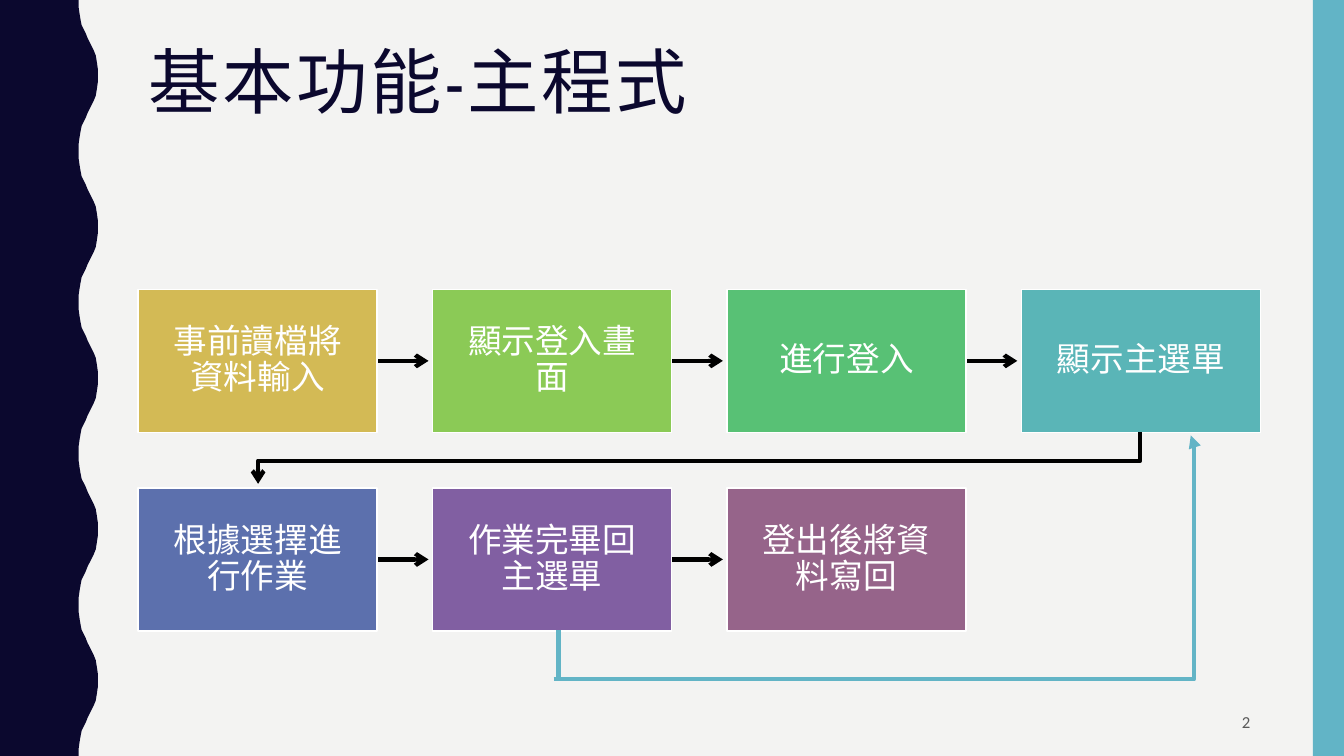
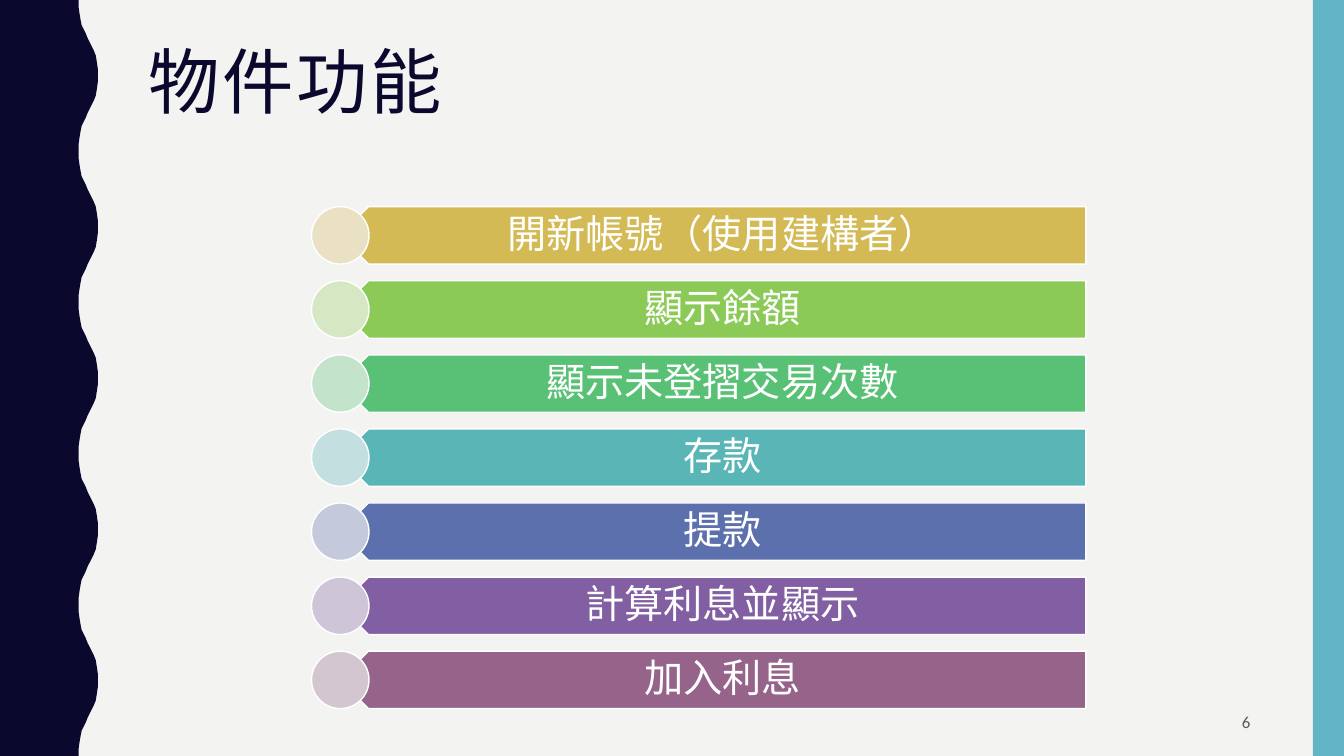
import pptx
import pptx.util
import pptx.dml.color
import pptx.enum.shapes
import pptx.enum.text
import pptx.oxml
import pptx.oxml.ns

Inches = pptx.util.Inches
Pt = pptx.util.Pt
RGBColor = pptx.dml.color.RGBColor
Shape = pptx.enum.shapes.MSO_SHAPE
Connector = pptx.enum.shapes.MSO_CONNECTOR
Align = pptx.enum.text.PP_ALIGN
Anchor = pptx.enum.text.MSO_ANCHOR
qn = pptx.oxml.ns.qn

PAPER = RGBColor(0xF3, 0xF3, 0xF2)
NAVY = RGBColor(0x0B, 0x08, 0x2E)
SKY = RGBColor(0x62, 0xB4, 0xC6)
WHITE = RGBColor(0xFF, 0xFF, 0xFF)
BLACK = RGBColor(0x00, 0x00, 0x00)
GRAY = RGBColor(0x59, 0x59, 0x59)
HUES = [RGBColor.from_string(code) for code in (
    "D3BA55", "8BCA56", "58C175", "5AB5B7", "5C70AD", "815FA2", "96648A")]
TINTS = [RGBColor.from_string(code) for code in (
    "EAE0C3", "D5E7C3", "C3E3CB", "C4DFE0", "C4CADC", "CFC5D8", "D3C6CF")]

HEADING_FONT = "Arial Narrow"
BODY_FONT = "Calibri"
WIDTH, HEIGHT = 13.33, 7.5
LEFT, CONTENT_WIDTH = 1.37, 11.13
WAVE_PERIOD = 1.5
WAVE_RISE = [(0.78, 0), (0.78, 0.07), (0.79, 0.14), (0.8, 0.2), (0.81, 0.25),
             (0.83, 0.29), (0.85, 0.33), (0.87, 0.38), (0.89, 0.42), (0.91, 0.46),
             (0.93, 0.5), (0.95, 0.55), (0.96, 0.61), (0.97, 0.68), (0.97, 0.75)]


class Painter:
    def __init__(self):
        self.deck = pptx.Presentation()
        self.deck.slide_width = Inches(WIDTH)
        self.deck.slide_height = Inches(HEIGHT)
        fill = self.deck.slide_master.background.fill
        fill.solid()
        fill.fore_color.rgb = PAPER
        self.page = None

    def start(self, title, number):
        self.page = self.deck.slides.add_slide(self.deck.slide_layouts[6])
        self.wave()
        self.shape(Shape.RECTANGLE, 13.02, 0, 0.31, HEIGHT, SKY)
        self.text(title, LEFT, 0.42, CONTENT_WIDTH, 1.63, 51, NAVY, font=HEADING_FONT,
                  align=Align.LEFT, anchor=Anchor.TOP, tracking=2)
        self.text(number, 9.42, 6.97, 3.08, 0.38, 12, GRAY, align=Align.RIGHT, spacing=1)

    def wave(self):
        crest = WAVE_RISE + [(x, WAVE_PERIOD - y) for x, y in WAVE_RISE[-2:0:-1]]
        points = [(x, y + turn * WAVE_PERIOD) for turn in range(5) for x, y in crest]
        band = self.outline([(0, 0)] + points + [(0.78, HEIGHT), (0, HEIGHT)], True)
        band.fill.solid()
        band.fill.fore_color.rgb = NAVY
        band.line.fill.background()

    def outline(self, points, close):
        corners = [(Inches(x), Inches(y)) for x, y in points]
        builder = self.page.shapes.build_freeform(*corners[0])
        builder.add_line_segments(corners[1:], close=close)
        shape = builder.convert_to_shape()
        shape.shadow.inherit = False
        return shape

    def shape(self, kind, left, top, width, height, color, border=None):
        shape = self.page.shapes.add_shape(
            kind, Inches(left), Inches(top), Inches(width), Inches(height))
        shape.shadow.inherit = False
        shape.fill.solid()
        shape.fill.fore_color.rgb = color
        if border is None:
            shape.line.fill.background()
        else:
            shape.line.color.rgb = border
            shape.line.width = Pt(1)
        return shape

    def text(self, words, left, top, width, height, size, color, **style):
        box = self.page.shapes.add_textbox(
            Inches(left), Inches(top), Inches(width), Inches(height))
        self.label(box, words, size, color, **style)

    def label(self, box, words, size, color, font=BODY_FONT, align=Align.CENTER,
              anchor=Anchor.MIDDLE, insets=(0.1, 0.05, 0.1, 0.05), spacing=0.9, tracking=0):
        frame = box.text_frame
        frame.word_wrap = True
        frame.vertical_anchor = anchor
        (frame.margin_left, frame.margin_top,
         frame.margin_right, frame.margin_bottom) = map(Inches, insets)
        para = frame.paragraphs[0]
        para.alignment = align
        para.line_spacing = spacing
        span = para.add_run()
        span.text = words
        span.font.name = font
        span.font.size = Pt(size)
        span.font.color.rgb = color
        if tracking:
            span.font._element.set("spc", str(tracking * 100))

    def stroke(self, shape, color, head):
        shape.line.color.rgb = color
        shape.line.width = Pt(3)
        if head:
            tip = pptx.oxml.parse_xml(
                f'<a:tailEnd {pptx.oxml.ns.nsdecls("a")} type="{head}"/>')
            shape.element.spPr.find(qn("a:ln")).append(tip)

    def connector(self, start, end, color, head=None, bend=None):
        kind = Connector.STRAIGHT if bend is None else Connector.ELBOW
        link = self.page.shapes.add_connector(kind, *map(Inches, start + end))
        self.stroke(link, color, head)
        properties = link.element.spPr
        properties.append(pptx.oxml.parse_xml(
            f'<a:effectLst {pptx.oxml.ns.nsdecls("a")}/>'))
        if bend is not None:
            geometry = properties.find(qn("a:prstGeom"))
            for child in list(geometry):
                geometry.remove(child)
            geometry.append(pptx.oxml.parse_xml(
                f'<a:avLst {pptx.oxml.ns.nsdecls("a")}>'
                f'<a:gd name="adj1" fmla="val {bend}"/></a:avLst>'))

    def route(self, points, color, head):
        line = self.outline(points, False)
        line.fill.background()
        self.stroke(line, color, head)

    def step(self, words, left, top, width, height, color):
        box = self.shape(Shape.RECTANGLE, left, top, width, height, color, WHITE)
        self.label(box, words, 24, WHITE, insets=(0.19,) * 4)

    def feature(self, words, top, color, tint):
        size = 0.57
        bar = self.shape(Shape.PENTAGON, 3.37, top, 7.4, size, color, WHITE)
        bar.rotation = 180
        self.text(words, 3.52, top, 7.26, size, 28, WHITE, insets=(0.25, 0.12, 0.22, 0.12))
        self.shape(Shape.OVAL, 3.09, top, size, size, tint, WHITE)


def main_program(painter):
    painter.start("基本功能-主程式", "2")
    steps = ["事前讀檔將資料輸入", "顯示登入畫面", "進行登入", "顯示主選單",
             "根據選擇進行作業", "作業完畢回主選單", "登出後將資料寫回"]
    columns, width, height = 4, 2.37, 1.42
    pitch_x, pitch_y, first_top = 2.92, 1.97, 2.87
    for index, words in enumerate(steps):
        row, column = divmod(index, columns)
        left, top = LEFT + column * pitch_x, first_top + row * pitch_y
        right, middle = left + width, top + height / 2
        if column < columns - 1 and index < len(steps) - 1:
            painter.connector((right, middle), (right + 0.51, middle), BLACK, "arrow")
        painter.step(words, left, top, width, height, HUES[index])
    painter.route([(11.31, 4.29), (11.31, 4.57), (2.56, 4.57), (2.56, 4.8)], BLACK, "arrow")
    painter.connector((5.49, 6.74), (11.81, 4.32), SKY, "triangle", bend=100500)
    painter.connector((5.54, 6.25), (5.54, 6.74), SKY)


def object_features(painter):
    painter.start("物件功能", "6")
    features = ["開新帳號（使用建構者）", "顯示餘額", "顯示未登摺交易次數", "存款",
                "提款", "計算利息並顯示", "加入利息"]
    first_top, last_top = 2.05, 6.46
    pitch = (last_top - first_top) / (len(features) - 1)
    for index, words in enumerate(features):
        painter.feature(words, first_top + index * pitch, HUES[index], TINTS[index])


painter = Painter()
main_program(painter)
object_features(painter)
painter.deck.save("out.pptx")
